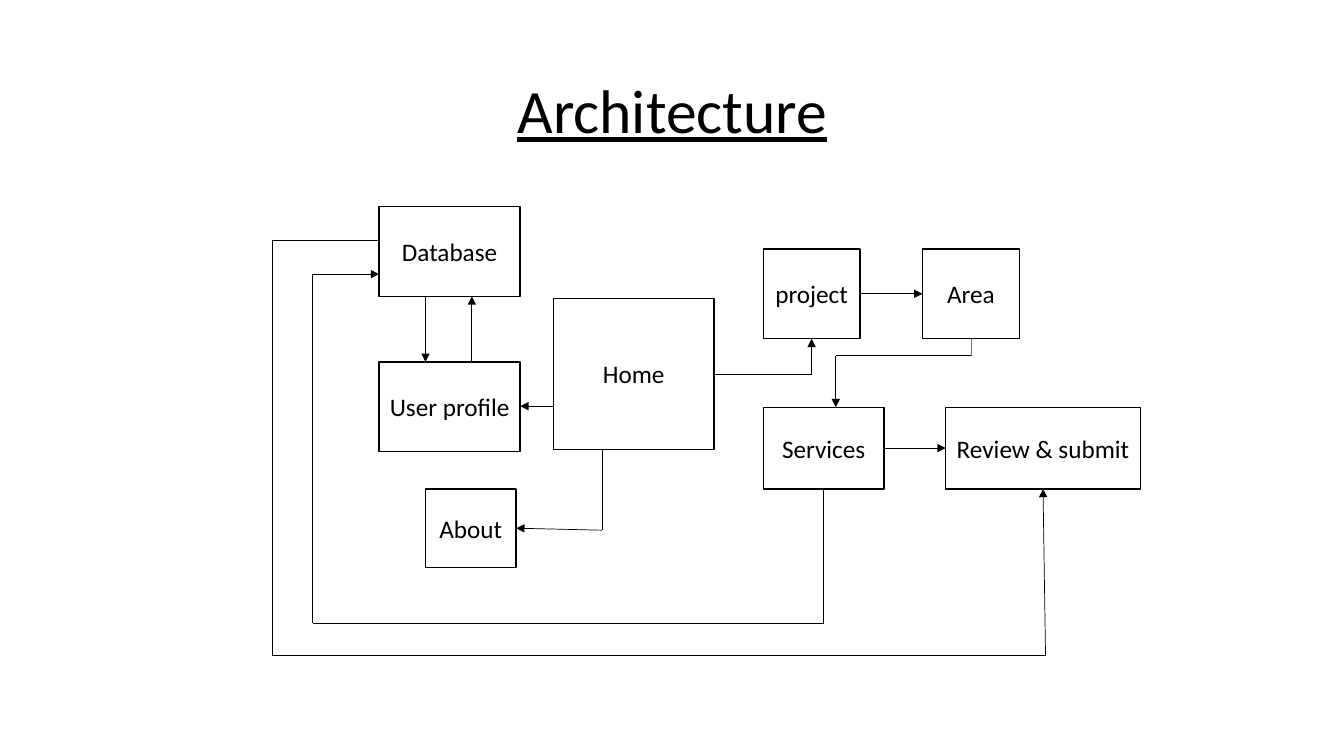
from collections import namedtuple

from lxml import etree
from pptx import Presentation, util as u
from pptx.dml.color import RGBColor
from pptx.enum import shapes, text
from pptx.oxml.ns import qn

BLACK = RGBColor(0x00, 0x00, 0x00)
BLUE = RGBColor(0x44, 0x72, 0xC4)
FONT = "Calibri"
CELL = u.Inches(0.1)  # side of one square grid cell


def grid(*cells):
    """Turn counts of grid cells into lengths."""
    return [u.Emu(round(count * CELL)) for count in cells]


class Block(namedtuple("Block", "left top width height")):
    """The place of one box, in grid columns and rows."""

    @property
    def right(self):
        """Column of the right edge."""
        return self.left + self.width

    @property
    def bottom(self):
        """Row of the lower edge."""
        return self.top + self.height

    @property
    def center(self):
        """Column of the middle."""
        return self.left + self.width / 2

    @property
    def middle(self):
        """Row of the middle."""
        return self.top + self.height / 2


class Diagram:
    """Draws the parts of a flow diagram on one slide."""

    def __init__(self, slide):
        """Keep the slide to draw on."""
        self.shapes = slide.shapes

    def put_words(self, frame, words, size, underline=None):
        """Put centred words into a text frame."""
        frame.vertical_anchor = text.MSO_ANCHOR.MIDDLE
        paragraph = frame.paragraphs[0]
        paragraph.text = words
        paragraph.alignment = text.PP_ALIGN.CENTER
        font = paragraph.font
        font.name, font.size, font.underline = FONT, u.Pt(size), underline
        font.color.rgb = BLACK
        return paragraph

    def title(self, words, place):
        """Add the underlined heading."""
        frame = self.shapes.add_textbox(*grid(*place)).text_frame
        frame.word_wrap = True
        self.put_words(frame, words, 44, underline=True).line_spacing = 0.9

    def box(self, label, place):
        """Add an outlined box with its label."""
        box = self.shapes.add_shape(shapes.MSO_SHAPE.RECTANGLE, *grid(*place))
        box.shadow.inherit = False
        box.fill.background()
        box.line.color.rgb, box.line.width = BLACK, u.Pt(1)
        box.text_frame.word_wrap = False
        self.put_words(box.text_frame, label, 18)

    def route(self, *points, color=BLACK, arrow=True):
        """Join points with lines, with an arrowhead at the last one."""
        for start, end in zip(points, points[1:]):
            link = self.shapes.add_connector(
                shapes.MSO_CONNECTOR.STRAIGHT, *grid(*start, *end))
            link.line.color.rgb, link.line.width = color, u.Pt(0.5)
            etree.SubElement(link._element.spPr, qn("a:effectLst"))
        if arrow:
            outline = link._element.spPr.find(qn("a:ln"))
            etree.SubElement(outline, qn("a:tailEnd")).set("type", "triangle")


deck = Presentation()
deck.slide_width, deck.slide_height = u.Inches(13.33), u.Inches(7.5)
diagram = Diagram(deck.slides.add_slide(deck.slide_layouts[6]))
diagram.title("Architecture", (9.2, 4, 115, 14.5))

home = Block(54.9, 29.6, 15.9, 15)
database = Block(37.6, 20.5, 14, 8.9)
profile = Block(37.6, 35.9, 14, 8.9)
about = Block(42.2, 48.5, 9, 7.8)
project = Block(75.7, 24.7, 9.6, 8.9)
area = Block(91.5, 24.7, 9.6, 8.9)
services = Block(75.7, 40.4, 12, 8.1)
review = Block(93.8, 40.4, 19.3, 8.1)
labels = {
    "Home": home, "Database": database, "User profile": profile,
    "About": about, "project": project, "Area": area,
    "Services": services, "Review & submit": review,
}
for label, place in labels.items():
    diagram.box(label, place)

# Database and user profile exchange data
diagram.route((46.8, profile.top), (46.8, database.bottom))
diagram.route((42.2, database.bottom), (42.2, profile.top))

# Home leads to the profile, about and project pages
diagram.route((home.left, 40.3), (profile.right, 40.3))
diagram.route((59.7, home.bottom), (59.7, 52.6), (about.right, about.middle))
diagram.route((home.right, home.middle), (project.center, home.middle),
              (project.center, project.bottom))

# Project leads through area and services to the review
diagram.route((project.right, project.middle), (area.left, area.middle))
diagram.route((area.center, area.bottom), (area.center, 35.3),
              color=BLUE, arrow=False)
diagram.route((area.center, 35.3), (82.9, 35.3), (82.9, services.top))
diagram.route((services.right, services.middle), (review.left, review.middle))

# Long loops between the database and the services and review pages
diagram.route((services.center, services.bottom), (services.center, 61.8),
              (31, 61.8), (31, 27.2), (database.left, 27.2))
diagram.route((database.left, 23.8), (27, 23.8), (27, 65), (103.7, 65),
              (review.center, review.bottom))

deck.save("out.pptx")
